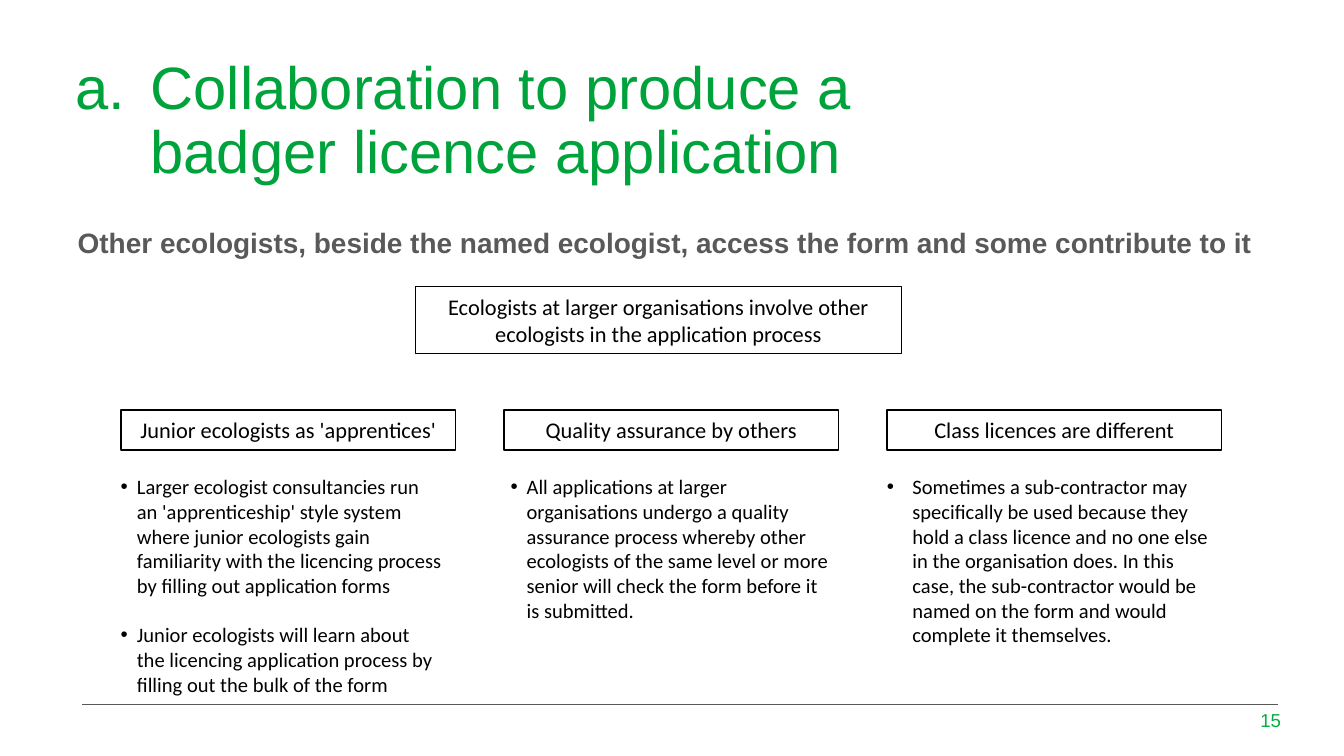
from dataclasses import dataclass

from lxml import etree
from pptx import Presentation
from pptx.dml.color import RGBColor
from pptx.enum.shapes import MSO_CONNECTOR, MSO_SHAPE
from pptx.enum.text import MSO_ANCHOR, MSO_AUTO_SIZE, PP_ALIGN
from pptx.oxml.ns import qn
from pptx.util import Inches, Pt

RECTANGLE = MSO_SHAPE.RECTANGLE
STRAIGHT = MSO_CONNECTOR.STRAIGHT
TOP, MIDDLE = MSO_ANCHOR.TOP, MSO_ANCHOR.MIDDLE
LEFT, CENTER, RIGHT = PP_ALIGN.LEFT, PP_ALIGN.CENTER, PP_ALIGN.RIGHT
NO_AUTOFIT = MSO_AUTO_SIZE.NONE


@dataclass(frozen=True)
class Theme:
    title_green: RGBColor = RGBColor(0x00, 0xA3, 0x3B)
    footer_green: RGBColor = RGBColor(0x00, 0xAF, 0x41)
    grey: RGBColor = RGBColor(0x59, 0x59, 0x59)
    black: RGBColor = RGBColor(0, 0, 0)
    heading_font: str = "Arial"
    body_font: str = "Calibri"
    title_size: float = 32
    subtitle_size: float = 15
    box_size: float = 12
    body_size: float = 11
    footer_size: float = 10


THEME = Theme()

TITLE = "Collaboration to produce a badger licence application"
SUBTITLE = ("Other ecologists, beside the named ecologist, access the form "
            "and some contribute to it")
MAIN_FINDING = ("Ecologists at larger organisations involve other ecologists "
                "in the application process")
FINDINGS = [
    ("Junior ecologists as 'apprentices'", -0.1, 0.12, [
        "Larger ecologist consultancies run an 'apprenticeship' style system "
        "where junior ecologists gain familiarity with the licencing process "
        "by filling out application forms",
        "Junior ecologists will learn about the licencing application process "
        "by filling out the bulk of the form"]),
    ("Quality assurance by others", -0.05, 0.12, [
        "All applications at larger organisations undergo a quality assurance "
        "process whereby other ecologists of the same level or more senior "
        "will check the form before it is submitted."]),
    ("Class licences are different", -0.1, 0.19, [
        "Sometimes a sub-contractor may specifically be used because they hold "
        "a class licence and no one else in the organisation does. In this "
        "case, the sub-contractor would be named on the form and would "
        "complete it themselves."]),
]


def set_bullet(paragraph, indent, tag, **attributes):
    properties = paragraph._p.get_or_add_pPr()
    properties.set("marL", str(Inches(indent)))
    properties.set("indent", str(-Inches(indent)))
    if tag == "a:buChar":
        etree.SubElement(properties, qn("a:buFont"), typeface="Arial")
    etree.SubElement(properties, qn(tag), **attributes)


def write(frame, paragraphs, *, size, color, font=THEME.body_font, bold=False,
          align=LEFT, anchor=TOP, line_spacing=None, gap=0):
    frame.word_wrap = True
    frame.auto_size = NO_AUTOFIT
    frame.vertical_anchor = anchor
    for index, text in enumerate(paragraphs):
        paragraph = frame.paragraphs[0] if index == 0 else frame.add_paragraph()
        paragraph.alignment = align
        if line_spacing:
            paragraph.line_spacing = line_spacing
        if index:
            paragraph.space_before = Pt(gap)
        run = paragraph.add_run()
        run.text = text
        run.font.size = Pt(size)
        run.font.name = font
        run.font.bold = bold
        run.font.color.rgb = color
    return frame.paragraphs


def add_text(slide, left, top, width, height):
    return slide.shapes.add_textbox(
        Inches(left), Inches(top), Inches(width), Inches(height)).text_frame


def add_title(slide, left, top, width, height):
    title = slide.shapes.title
    title.left, title.top = Inches(left), Inches(top)
    title.width, title.height = Inches(width), Inches(height)
    frame = title.text_frame
    frame.margin_right = Inches(2.5)
    heading, = write(frame, [TITLE], size=THEME.title_size,
                     color=THEME.title_green, font=THEME.heading_font,
                     line_spacing=0.9)
    set_bullet(heading, 0.56, "a:buAutoNum", type="alphaLcPeriod")


def add_subtitle(slide, left, top, width, height):
    frame = add_text(slide, left, top, width, height)
    frame.margin_top = Inches(0.45)
    write(frame, [SUBTITLE], size=THEME.subtitle_size, color=THEME.grey,
          font=THEME.heading_font, bold=True, line_spacing=0.9)


def add_outlined_box(slide, text, left, top, width, height):
    box = slide.shapes.add_shape(
        RECTANGLE, Inches(left), Inches(top), Inches(width), Inches(height))
    box.shadow.inherit = False
    box.fill.background()
    box.line.color.rgb = THEME.black
    box.line.width = Pt(0.75)
    write(box.text_frame, [text], size=THEME.box_size, color=THEME.black,
          align=CENTER, anchor=MIDDLE)


def add_finding(slide, finding, left, top, width, height):
    heading, offset, indent, points = finding
    add_outlined_box(slide, heading, left, top, width, 0.3)
    frame = add_text(slide, left + offset, top + 0.43, width + 0.1, height - 0.43)
    for point in write(frame, points, size=THEME.body_size,
                       color=THEME.black, gap=13.2):
        set_bullet(point, indent, "a:buChar", char="•")


def add_findings(slide, left, top, width, height):
    gap = 0.36
    column_width = (width - gap * (len(FINDINGS) - 1)) / len(FINDINGS)
    for index, finding in enumerate(FINDINGS):
        add_finding(slide, finding, left + index * (column_width + gap), top,
                    column_width, height)


def add_footer(slide, left, top, width, height):
    rule = slide.shapes.add_connector(
        STRAIGHT, Inches(left), Inches(top + 0.03),
        Inches(left + width), Inches(top + 0.03))
    rule.line.color.rgb = THEME.grey
    rule.line.width = Pt(0.5)
    etree.SubElement(rule._element.spPr, qn("a:effectLst"))
    number = add_text(slide, left + width - 0.33, top, 0.45, height)
    write(number, ["15"], size=THEME.footer_size, color=THEME.footer_green,
          font=THEME.heading_font, align=RIGHT, anchor=MIDDLE)


def main():
    deck = Presentation()
    deck.slide_width = Inches(10)
    deck.slide_height = deck.slide_width * 9 // 16
    slide = deck.slides.add_slide(deck.slide_layouts[5])
    add_footer(slide, 0.61, 5.21, 8.9, 0.3)
    add_title(slide, 0.46, 0.38, 9.37, 0.4)
    add_subtitle(slide, 0.48, 1.26, 9.04, 3.81)
    add_outlined_box(slide, MAIN_FINDING, 3.09, 2.13, 3.62, 0.5)
    add_findings(slide, 0.9, 3.05, 8.19, 2.4)
    deck.save("out.pptx")


if __name__ == "__main__":
    main()
